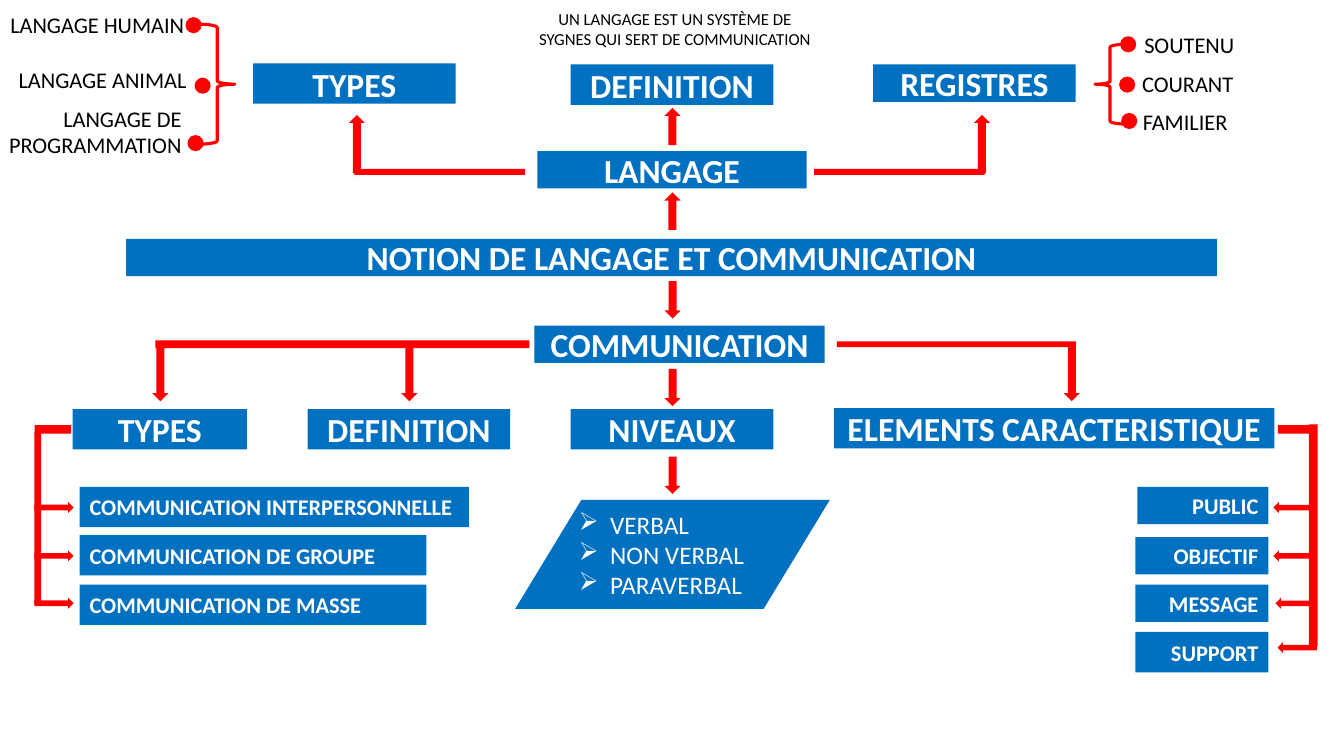
import pptx
import pptx.util
import pptx.dml.color
import pptx.enum.shapes
import pptx.enum.text
import pptx.oxml.ns
import lxml.etree

Inches = pptx.util.Inches
Pt = pptx.util.Pt
SHAPE = pptx.enum.shapes.MSO_SHAPE
ALIGN = pptx.enum.text.PP_ALIGN
BLUE = pptx.dml.color.RGBColor(0x00, 0x70, 0xC0)
RED = pptx.dml.color.RGBColor(0xFF, 0x00, 0x00)
WHITE = pptx.dml.color.RGBColor(0xFF, 0xFF, 0xFF)
BLACK = pptx.dml.color.RGBColor(0x00, 0x00, 0x00)

presentation = pptx.Presentation()
presentation.slide_width = Inches(13.33)
presentation.slide_height = Inches(7.5)
slide = presentation.slides.add_slide(presentation.slide_layouts[6])


def add_filled(kind, left, top, width, height, color, rotation=0):
    shape = slide.shapes.add_shape(
        kind, Inches(left), Inches(top), Inches(width), Inches(height))
    shape.shadow.inherit = False
    shape.fill.solid()
    shape.fill.fore_color.rgb = color
    shape.line.fill.background()
    shape.rotation = rotation
    return shape


def write(shape, text, size, color, align, bold=False):
    shape.text_frame.text = text
    for paragraph in shape.text_frame.paragraphs:
        paragraph.alignment = align
        paragraph.font.name = "Calibri"
        paragraph.font.size = Pt(size)
        paragraph.font.bold = bold
        paragraph.font.color.rgb = color


# Headings
for text, left, top, width, height in [
    ("NOTION DE LANGAGE ET COMMUNICATION", 1.25, 2.37, 10.82, 0.37),
    ("LANGAGE", 5.33, 1.5, 2.67, 0.37),
    ("REGISTRES", 8.66, 0.64, 2.01, 0.37),
    ("DEFINITION", 5.66, 0.64, 2.01, 0.4),
    ("TYPES", 2.51, 0.63, 2.01, 0.4),
    ("COMMUNICATION", 5.3, 3.23, 2.88, 0.37),
    ("TYPES", 0.72, 4.06, 1.73, 0.4),
    ("DEFINITION", 3.05, 4.06, 2.01, 0.4),
    ("NIVEAUX", 5.66, 4.06, 2.01, 0.4),
    ("ELEMENTS CARACTERISTIQUE", 8.27, 4.05, 4.37, 0.4),
]:
    heading = add_filled(SHAPE.RECTANGLE, left, top, width, height, BLUE)
    write(heading, text, 24, WHITE, ALIGN.CENTER, bold=True)

# Communication types and characteristic elements
for text, left, top, width, height, align in [
    ("COMMUNICATION INTERPERSONNELLE", 0.79, 4.83, 3.86, 0.4, ALIGN.LEFT),
    ("COMMUNICATION DE GROUPE", 0.79, 5.31, 3.44, 0.4, ALIGN.LEFT),
    ("COMMUNICATION DE MASSE", 0.79, 5.8, 3.44, 0.4, ALIGN.LEFT),
    ("PUBLIC", 11.28, 4.83, 1.3, 0.37, ALIGN.RIGHT),
    ("OBJECTIF", 11.26, 5.33, 1.32, 0.37, ALIGN.RIGHT),
    ("MESSAGE", 11.26, 5.8, 1.32, 0.37, ALIGN.RIGHT),
    ("SUPPORT", 11.26, 6.27, 1.32, 0.4, ALIGN.RIGHT),
]:
    item = add_filled(SHAPE.RECTANGLE, left, top, width, height, BLUE)
    write(item, text, 16, WHITE, align, bold=True)

# Short vertical arrows on the central axis
for top, rotation in [(1.07, 0), (1.91, 0), (2.79, 180), (3.66, 180), (4.53, 180)]:
    add_filled(SHAPE.UP_ARROW, 6.59, top, 0.16, 0.37, RED, rotation)

# Longer vertical arrows to the branches
for left, top, rotation in [(3.46, 1.14, 0), (9.66, 1.14, 0),
                            (1.51, 3.4, 180), (3.98, 3.4, 180), (10.55, 3.4, 180)]:
    add_filled(SHAPE.UP_ARROW, left, top, 0.16, 0.58, RED, rotation)

# Small side arrows to the list items
for left, top, rotation in [
    (0.48, 4.84, 90), (0.48, 5.32, 90), (0.48, 5.79, 90),
    (12.77, 4.84, 270), (12.77, 5.32, 270), (12.79, 5.79, 270), (12.81, 6.23, 270),
]:
    add_filled(SHAPE.UP_ARROW, left, top, 0.11, 0.39, RED, rotation)

# Headless bars that link the arrows
for left, top, width, height, rotation in [
    (4.3, 0.86, 0.12, 1.69, 270), (8.86, 0.86, 0.12, 1.69, 270),
    (3.32, 1.56, 0.15, 3.71, 270), (9.43, 2.23, 0.11, 2.37, 270),
    (0.31, 4.29, 0.13, 1.7, 0), (0.44, 4.08, 0.17, 0.36, 270),
    (12.94, 4.21, 0.17, 2.2, 0), (12.77, 4.08, 0.17, 0.36, 90),
]:
    bar = add_filled(SHAPE.UP_ARROW, left, top, width, height, RED, rotation)
    bar.adjustments[0] = 0.5
    bar.adjustments[1] = 0

# Braces
for kind, left, top, width, height in [
    (SHAPE.RIGHT_BRACE, 1.98, 0.24, 0.35, 1.19),
    (SHAPE.LEFT_BRACE, 10.86, 0.44, 0.3, 0.79),
]:
    brace = add_filled(kind, left, top, width, height, RED)
    brace.fill.background()
    brace.line.color.rgb = RED
    brace.line.width = Pt(2.25)
    brace.adjustments[0] = 0.098

# Dots at the brace ends
for left, top in [(1.84, 0.17), (1.93, 0.77), (1.86, 1.34),
                  (11.11, 0.36), (11.1, 0.76), (11.12, 1.12)]:
    add_filled(SHAPE.OVAL, left, top, 0.16, 0.16, RED)

# Black labels
for text, left, top, width, height, size, align, wrap in [
    ("LANGAGE HUMAIN", -0.01, 0.06, 1.95, 0.37, 16, ALIGN.CENTER, False),
    ("LANGAGE ANIMAL", 0.06, 0.61, 1.89, 0.37, 16, ALIGN.RIGHT, False),
    ("LANGAGE DE\nPROGRAMMATION", -0.04, 0.99, 1.94, 0.64, 16, ALIGN.RIGHT, False),
    ("SOUTENU", 11.24, 0.26, 1.11, 0.37, 16, ALIGN.CENTER, False),
    ("COURANT", 11.22, 0.65, 1.12, 0.37, 16, ALIGN.CENTER, False),
    ("FAMILIER", 11.23, 1.02, 1.05, 0.37, 16, ALIGN.CENTER, False),
    ("UN LANGAGE EST UN SYSTÈME DE SYGNES QUI SERT DE COMMUNICATION",
     5.18, 0.04, 3.03, 0.5, 12, ALIGN.CENTER, True),
]:
    label = slide.shapes.add_textbox(
        Inches(left), Inches(top), Inches(width), Inches(height))
    label.text_frame.word_wrap = wrap
    label.text_frame.auto_size = pptx.enum.text.MSO_AUTO_SIZE.SHAPE_TO_FIT_TEXT
    write(label, text, size, BLACK, align)

# Levels of communication, bulleted
levels = add_filled(SHAPE.PARALLELOGRAM, 5.11, 4.96, 3.12, 1.08, BLUE)
levels.adjustments[0] = 0.607
write(levels, "VERBAL\nNON VERBAL\nPARAVERBAL", 18, WHITE, ALIGN.LEFT)
for paragraph in levels.text_frame.paragraphs:
    properties = paragraph._p.get_or_add_pPr()
    properties.set("marL", str(Inches(0.31)))
    properties.set("indent", str(Inches(-0.31)))
    bullet = lxml.etree.Element(pptx.oxml.ns.qn("a:buChar"), char="➢")
    properties.insert(0, bullet)

presentation.save("out.pptx")
